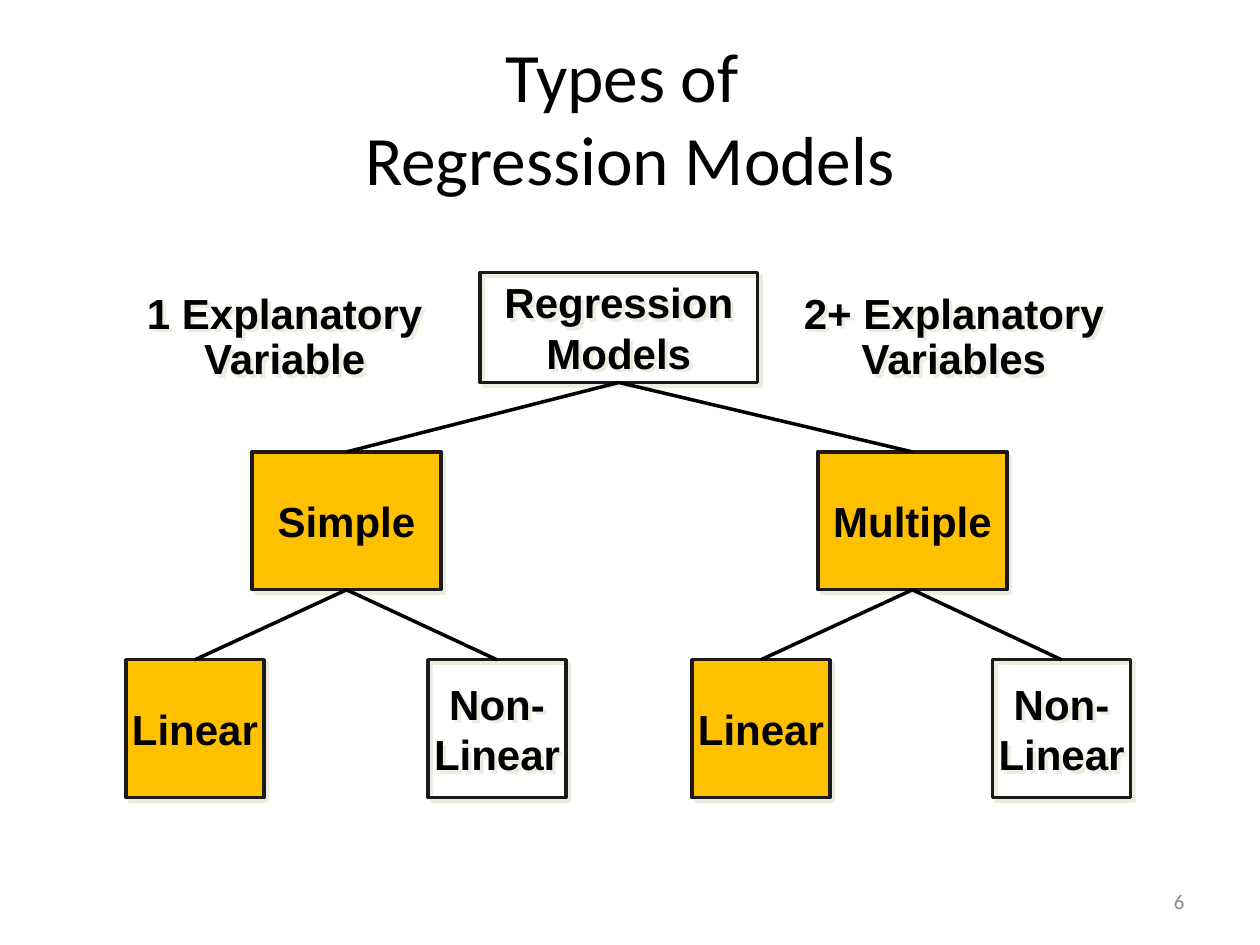
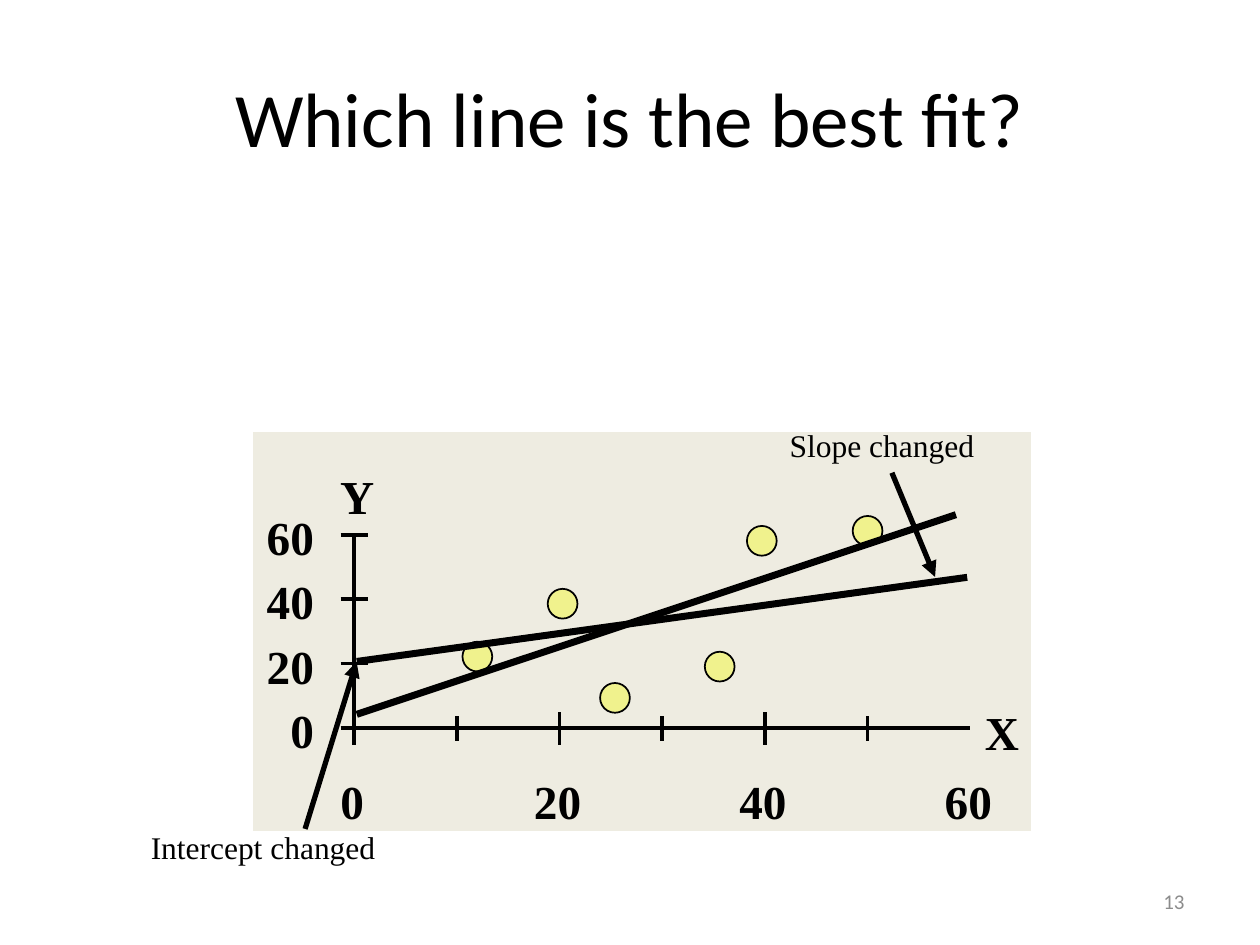
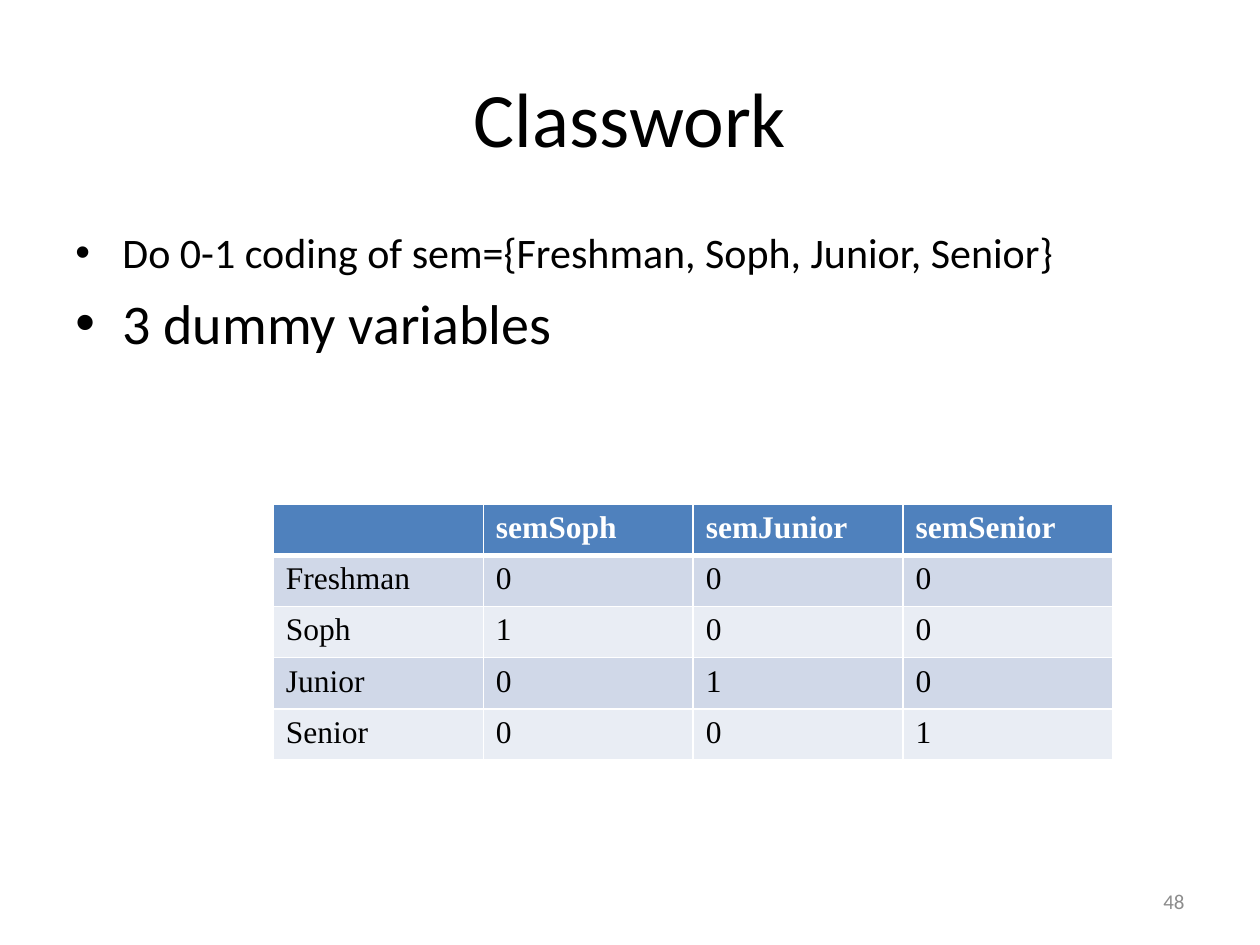
from dataclasses import dataclass
from lxml.etree import SubElement as Sub
from pptx import Presentation
from pptx.dml.color import RGBColor as Rgb
from pptx.enum.shapes import MSO_CONNECTOR as Conn, MSO_SHAPE as Kind
from pptx.enum.text import MSO_ANCHOR as Anchor, PP_ALIGN as Align
from pptx.oxml.ns import qn
from pptx.util import Cm, Pt


@dataclass(frozen=True)
class Theme:
    ink: str = "000000"
    edge: str = "1A1A1A"
    gold: str = "FFC000"
    sand: str = "EEECE1"
    dot: str = "F0F28D"
    grey: str = "8C8C8C"
    white: str = "FFFFFF"
    head: str = "4F81BD"
    bands: tuple = ("D0D8E8", "E9EDF4")
    main: str = "Calibri"
    tree: str = "Arial"
    plot: str = "Times New Roman"
    title: float = 44
    small: float = 39.6
    node: float = 24
    tick: float = 27
    note: float = 18
    page: float = 12


T = Theme()

TITLES = [
    ("Types of \nRegression Models", T.small, "6"),
    ("Which line is the best fit?", T.title, "13"),
    ("Classwork", T.title, "48"),
]

NODES = {
    "root": ("Regression\nModels", (9.68, 5.49, 5.59, 2.22), None),
    "one": ("Simple", (5.08, 9.11, 3.81, 2.78), T.gold),
    "many": ("Multiple", (16.49, 9.11, 3.81, 2.78), T.gold),
    "one line": ("Linear", (2.54, 13.3, 2.78, 2.78), T.gold),
    "one curve": ("Non-\nLinear", (8.63, 13.3, 2.78, 2.78), None),
    "many line": ("Linear", (13.95, 13.3, 2.78, 2.78), T.gold),
    "many curve": ("Non-\nLinear", (20.01, 13.3, 2.78, 2.78), None),
}
EDGES = [
    ("root", "one"), ("root", "many"),
    ("one", "one line"), ("one", "one curve"),
    ("many", "many line"), ("many", "many curve"),
]
SIDES = [
    ("1 Explanatory\nVariable", (2.44, 5.81, 6.6, 2)),
    ("2+ Explanatory\nVariables", (15.93, 5.81, 6.6, 2)),
]

PANEL = (5.08, 8.69, 15.72, 8.08)
ZERO = (7.14, 14.68)
UNIT = (0.207, 0.065)
MARKS = (0, 20, 40, 60)
DOTS = [(25.4, 9.4), (50, 61.2), (20.3, 38.6),
        (39.7, 58.1), (35.6, 19.1), (12, 22.2)]
FITS = [((0.25, 20.7), (59.7, 46.8)), ((0.25, 4.3), (58.6, 66.2))]
ARROWS = [
    ((17.98, 9.53), (18.85, 11.63), 3),
    ((7.19, 14.4), (7.19, 14.4), 1),
    ((6.15, 16.71), (7.19, 13.34), 3),
]
NOTES = [
    ("Slope changed", (15.67, 8.46, 4.95, 1.02)),
    ("Intercept changed", (2.79, 16.56, 5.59, 1.02)),
]
AXES = [("X", 20.2, 14.74), ("Y", 7.2, 10)]

BULLETS = [
    ("Do 0-1 coding of sem={Freshman, Soph, Junior, Senior}", 24),
    ("3 dummy variables", 32),
]
ROWS = [
    ("", "semSoph", "semJunior", "semSenior"),
    ("Freshman", "0", "0", "0"),
    ("Soph", "1", "0", "0"),
    ("Junior", "0", "1", "0"),
    ("Senior", "0", "0", "1"),
]


def cms(vals):
    return [Cm(v) for v in vals]


def put(obj, vals):
    for key, val in vals.items():
        setattr(obj, key, val)


def write(para, text, size, face, bold=False, color=T.ink, **form):
    para.text = text
    put(para, form)
    for run in para.runs:
        put(run.font, {"size": Pt(size), "name": face, "bold": bold})
        run.font.color.rgb = Rgb.from_string(color)


def label(slide, text, area, size, face, anchor=Anchor.MIDDLE, **form):
    box = slide.shapes.add_textbox(*cms(area))
    put(box.text_frame, {"word_wrap": True, "vertical_anchor": anchor})
    write(box.text_frame.paragraphs[0], text, size, face, **form)
    return box


def shape(slide, kind, area, fill, edge, width):
    item = slide.shapes.add_shape(kind, *cms(area))
    item.shadow.inherit = False
    if fill:
        item.fill.solid()
        item.fill.fore_color.rgb = Rgb.from_string(fill)
    else:
        item.fill.background()
    item.line.color.rgb = Rgb.from_string(edge)
    item.line.width = Pt(width)
    return item


def shade(item):
    item.shadow.inherit = False
    effects = item._element.spPr.find(qn("a:effectLst"))
    cast = Sub(effects, qn("a:outerShdw"), blurRad="0", dist="35560",
               dir="2700000", algn="ctr", rotWithShape="0")
    Sub(cast, qn("a:srgbClr"), val=T.sand)


def line(slide, start, end, width=2, arrow=False):
    item = slide.shapes.add_connector(Conn.STRAIGHT, *cms(start + end))
    item.line.color.rgb = Rgb.from_string(T.ink)
    item.line.width = Pt(width)
    if arrow:
        Sub(item.line._get_or_add_ln(), qn("a:tailEnd"), type="triangle")
    Sub(item._element.spPr, qn("a:effectLst"))
    return item


def start(deck, title, size, page):
    slide = deck.slides.add_slide(deck.slide_layouts[6])
    label(slide, title, (1.27, 0.76, 22.86, 3.18), size, T.main,
          alignment=Align.CENTER)
    label(slide, page, (18.21, 17.65, 5.92, 1.02), T.page, T.main,
          color=T.grey, alignment=Align.RIGHT)
    return slide


def tree(slide):
    form = {"size": T.node, "face": T.tree, "bold": True,
            "alignment": Align.CENTER}
    boxes = {}
    for key, (text, area, fill) in NODES.items():
        box = shape(slide, Kind.RECTANGLE, area, fill, T.edge, 2)
        shade(box)
        frame = box.text_frame
        put(frame, {"word_wrap": False, "vertical_anchor": Anchor.MIDDLE,
                    "margin_left": 0, "margin_right": 0,
                    "margin_top": 0, "margin_bottom": 0})
        write(frame.paragraphs[0], text, line_spacing=Pt(28.8), **form)
        boxes[key] = box
    for text, area in SIDES:
        shade(label(slide, text, area, line_spacing=Pt(26), **form))
    for top, low in EDGES:
        link = line(slide, (0, 0), (1, 1))
        link.begin_connect(boxes[top], 2)
        link.end_connect(boxes[low], 0)


def spot(x, y):
    return ZERO[0] + x * UNIT[0], ZERO[1] - y * UNIT[1]


def plot(slide):
    form = {"size": T.tick, "face": T.plot, "bold": True}
    left, base = ZERO
    shape(slide, Kind.RECTANGLE, PANEL, T.sand, T.white, 1)
    line(slide, spot(0, 60), ZERO)
    line(slide, ZERO, spot(60, 0))
    for x in range(0, 60, 10):
        px, half = spot(x, 0)[0], 0.25 if x % 20 else 0.33
        line(slide, (px, base + half), (px, base - half))
    for mark in MARKS:
        px, py = spot(mark, mark)
        line(slide, (left - 0.27, py), (left + 0.27, py))
        label(slide, str(mark), (5.08, py - 0.67, 1.5, 1.4),
              alignment=Align.RIGHT, **form)
        label(slide, str(mark), (px - 0.79, 15.44, 1.5, 1.4),
              alignment=Align.CENTER, **form)
    for text, x, y in AXES:
        label(slide, text, (x - 0.6, y - 0.7, 1.2, 1.4),
              alignment=Align.CENTER, **form)
    for dot in DOTS:
        px, py = spot(*dot)
        shape(slide, Kind.OVAL, (px - 0.3, py - 0.3, 0.6, 0.6),
              T.dot, T.ink, 1)
    for first, last in FITS:
        line(slide, spot(*first), spot(*last), 4)
    for first, last, width in ARROWS:
        line(slide, first, last, width, arrow=True)
    for text, area in NOTES:
        label(slide, text, area, T.note, T.plot)


def points(slide):
    box = slide.shapes.add_textbox(*cms((1.27, 4.45, 22.86, 12.57)))
    frame = box.text_frame
    frame.word_wrap = True
    for num, (text, size) in enumerate(BULLETS):
        para = frame.add_paragraph() if num else frame.paragraphs[0]
        write(para, text, size, T.main, space_before=Pt(size * 0.2))
        props = para._p.get_or_add_pPr()
        props.set("marL", str(Cm(0.95)))
        props.set("indent", str(-Cm(0.95)))
        Sub(props, qn("a:buFont"), typeface=T.tree)
        Sub(props, qn("a:buChar"), char="•")


def border(cell, widths):
    props = cell._tc.get_or_add_tcPr()
    for num, (side, width) in enumerate(zip("LRTB", widths)):
        rule = Sub(props, qn("a:ln" + side), w=str(Pt(width)))
        Sub(Sub(rule, qn("a:solidFill")), qn("a:srgbClr"), val=T.white)
        props.insert(num, rule)


def table(slide):
    area = cms((5.51, 10.16, 16.93, 5.16))
    grid = slide.shapes.add_table(len(ROWS), len(ROWS[0]), *area).table
    for r, row in enumerate(ROWS):
        for c, text in enumerate(row):
            cell = grid.cell(r, c)
            write(cell.text_frame.paragraphs[0], text, T.note, T.plot,
                  bold=r == 0, color=T.ink if r else T.white)
            cell.fill.solid()
            fill = T.bands[(r - 1) % 2] if r else T.head
            cell.fill.fore_color.rgb = Rgb.from_string(fill)
            border(cell, (1, 1, 3 if r == 1 else 1, 1 if r else 3))


def main():
    deck = Presentation()
    put(deck, {"slide_width": Cm(25.4), "slide_height": Cm(19.05)})
    models, fit, work = [start(deck, *item) for item in TITLES]
    tree(models)
    plot(fit)
    points(work)
    table(work)
    deck.save("out.pptx")


if __name__ == "__main__":
    main()
